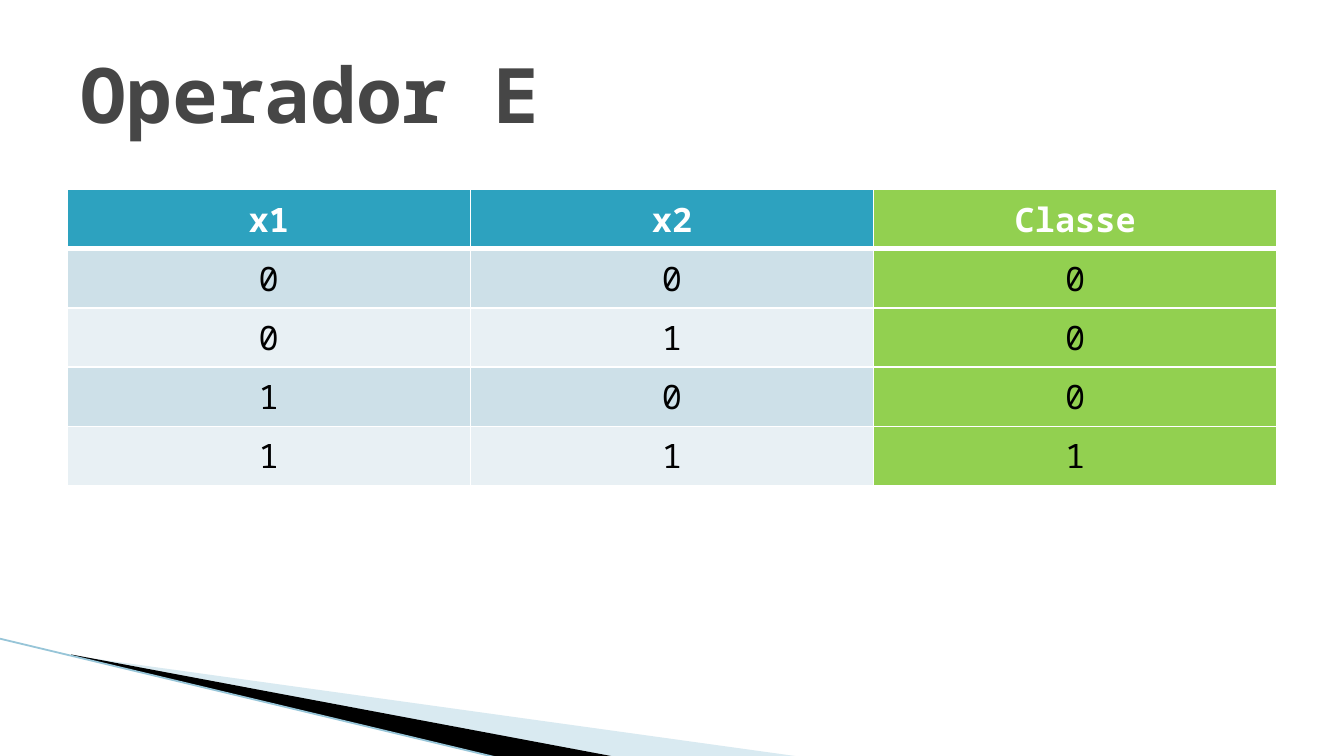
from lxml.etree import SubElement
from pptx import Presentation
from pptx.dml.color import RGBColor
from pptx.enum.shapes import MSO_CONNECTOR
from pptx.enum.text import MSO_ANCHOR, PP_ALIGN
from pptx.oxml.ns import qn
from pptx.util import Inches, Pt

FONT = "Noto Sans Mono"
COLORS = {
    "white": "FFFFFF",
    "black": "000000",
    "title": "464646",
    "header": "2DA2BF",
    "class": "92D050",
    "odd_row": "CDE0E8",
    "even_row": "E8F0F4",
    "wedge": "A0CBDC",
    "edge": "97C5D8",
}
TRUTH_TABLE = [
    ("x1", "x2", "Classe"),
    ("0", "0", "0"),
    ("0", "1", "0"),
    ("1", "0", "0"),
    ("1", "1", "1"),
]


def rgb(name):
    return RGBColor.from_string(COLORS[name])


def format_text(p, size, color, bold):
    for r in p.runs:
        r.font.name = FONT
        r.font.size = Pt(size)
        r.font.bold = bold
        r.font.color.rgb = rgb(color)


def add_wedge(slide, points, color, opacity=100):
    corners = [(Inches(x), Inches(y)) for x, y in points]
    builder = slide.shapes.build_freeform(*corners[0], scale=1.0)
    builder.add_line_segments(corners[1:], close=True)
    sp = builder.convert_to_shape()
    sp.shadow.inherit = False
    sp.line.fill.background()
    sp.fill.solid()
    sp.fill.fore_color.rgb = rgb(color)
    if opacity < 100:
        clr = sp._element.spPr.find(qn("a:solidFill"))[0]
        SubElement(clr, qn("a:alpha")).set("val", str(opacity * 1000))


def add_edge(slide, start, end, color, width):
    line = slide.shapes.add_connector(
        MSO_CONNECTOR.STRAIGHT, *map(Inches, start + end))
    line.line.color.rgb = rgb(color)
    line.line.width = Pt(width)
    SubElement(line._element.spPr, qn("a:effectLst"))


def set_borders(cell, widths):
    """Draw white borders; widths maps a side (L, R, T, B) to points."""
    tc_pr = cell._tc.get_or_add_tcPr()
    for side, width in widths.items():
        ln = SubElement(tc_pr, qn(f"a:ln{side}"), w=str(Pt(width)))
        fill = SubElement(ln, qn("a:solidFill"))
        SubElement(fill, qn("a:srgbClr"), val=COLORS["white"])


def cell_color(row, col):
    if col == 2:
        return "class"
    if row == 0:
        return "header"
    return "odd_row" if row % 2 else "even_row"


def add_truth_table(slide, rows):
    frame = slide.shapes.add_table(
        len(rows), len(rows[0]),
        Inches(0.5), Inches(1.41), Inches(9), Inches(0.41 * len(rows)))
    for i, row in enumerate(rows):
        header = i == 0
        for j, value in enumerate(row):
            cell = frame.table.cell(i, j)
            set_borders(cell, {"L": 1, "R": 1,
                               "T": 3 if i == 1 else 1,
                               "B": 3 if header else 1})
            cell.fill.solid()
            cell.fill.fore_color.rgb = rgb(cell_color(i, j))
            p = cell.text_frame.paragraphs[0]
            p.text = value
            p.alignment = PP_ALIGN.CENTER
            format_text(p, 18, "white" if header else "black", header)


def set_title(slide, text):
    title = slide.shapes.title
    title.left, title.top = Inches(0.5), Inches(0.23)
    title.width, title.height = Inches(9), Inches(0.93)
    tf = title.text_frame
    tf.text = text
    tf.vertical_anchor = MSO_ANCHOR.MIDDLE
    p = tf.paragraphs[0]
    p.alignment = PP_ALIGN.LEFT
    format_text(p, 41, "title", True)


def main():
    prs = Presentation()
    prs.slide_width = Inches(10)
    prs.slide_height = prs.slide_width * 9 // 16
    slide = prs.slides.add_slide(prs.slide_layouts[5])
    add_wedge(slide, [(0.55, 4.88), (5.95, 5.63), (4.56, 5.63)], "wedge", 40)
    add_wedge(slide, [(0.53, 4.87), (4.57, 5.63), (3.72, 5.64), (0.54, 4.88)],
              "black")
    add_edge(slide, (-0.01, 4.75), (3.71, 5.64), "edge", 0.95)
    add_truth_table(slide, TRUTH_TABLE)
    set_title(slide, "Operador E")
    prs.save("out.pptx")


if __name__ == "__main__":
    main()
